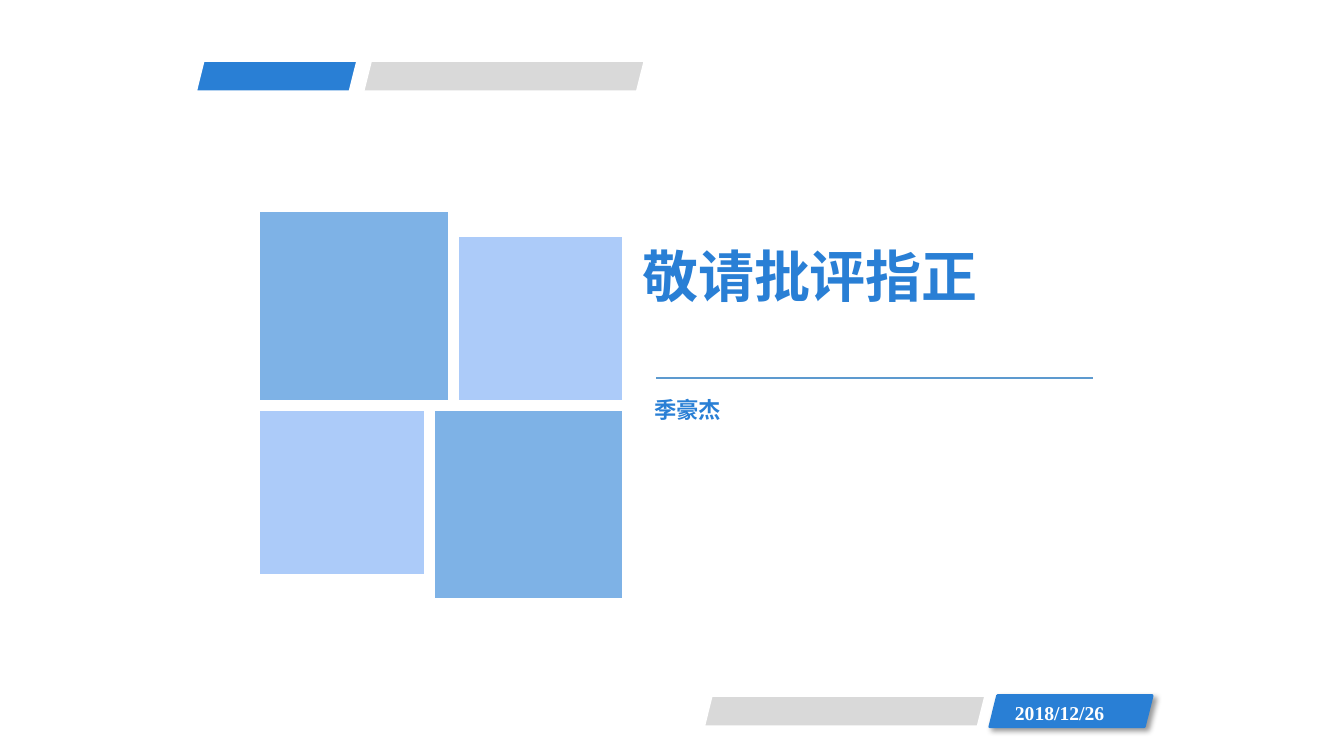
"""Build the closing slide with its tiles, title, name and date."""
from lxml.etree import SubElement
from pptx import Presentation
from pptx.dml.color import RGBColor
from pptx.enum.shapes import MSO_CONNECTOR, MSO_SHAPE
from pptx.enum.text import MSO_ANCHOR, MSO_AUTO_SIZE, PP_ALIGN
from pptx.oxml import parse_xml
from pptx.oxml.ns import nsdecls, qn
from pptx.util import Inches, Pt

COLORS = {
    "blue": "297FD5",
    "gray": "D9D9D9",
    "tile": "7EB2E6",
    "pale": "ACCBF9",
    "rule": "5D9ACF",
    "white": "FFFFFF",
}
COLS, ROWS = 40, 22.5


class Deck:
    """Hold the style and the current slide, on a grid of square cells."""

    def __init__(self):
        self.prs = Presentation()
        self.prs.slide_width = Inches(13.33)
        self.prs.slide_height = Inches(7.5)
        self.slide = self.prs.slides.add_slide(self.prs.slide_layouts[5])

    def color(self, name):
        return RGBColor.from_string(COLORS[name])

    def place(self, x, y, w, h):
        wide, high = self.prs.slide_width, self.prs.slide_height
        return [round(n) for n in (x / COLS * wide, y / ROWS * high,
                                   w / COLS * wide, h / ROWS * high)]

    def block(self, kind, box, fill, edge="white"):
        shape = self.slide.shapes.add_shape(kind, *self.place(*box))
        shape.shadow.inherit = False
        shape.fill.solid()
        shape.fill.fore_color.rgb = self.color(fill)
        shape.line.color.rgb = self.color(edge)
        shape.line.width = Pt(2)
        return shape

    def shade(self, shape):
        effects = shape._element.spPr.find(qn("a:effectLst"))
        effects.append(parse_xml(
            f'<a:outerShdw {nsdecls("a")} blurRad="{Pt(4)}" dist="{Pt(3)}" '
            'dir="2700000" algn="tl" rotWithShape="0"><a:srgbClr val="000000">'
            '<a:alpha val="40000"/></a:srgbClr></a:outerShdw>'))

    def rule(self, x, y, w):
        left, top, wide, _ = self.place(x, y, w, 0)
        line = self.slide.shapes.add_connector(
            MSO_CONNECTOR.STRAIGHT, left, top, left + wide, top)
        line.line.color.rgb = self.color("rule")
        line.line.width = Pt(0.75)
        SubElement(line._element.spPr, qn("a:effectLst"))

    def style(self, shape, text, size, color, font):
        frame = shape.text_frame
        frame.text = text
        frame.word_wrap = False
        frame.auto_size = MSO_AUTO_SIZE.NONE
        frame.vertical_anchor = MSO_ANCHOR.TOP
        para = frame.paragraphs[0]
        para.alignment = PP_ALIGN.LEFT
        para.font.size = Pt(size)
        para.font.bold = True
        para.font.name = font
        para.font.color.rgb = self.color(color)

    def title(self, box, text, size):
        shape = self.slide.shapes.title
        shape.left, shape.top, shape.width, shape.height = self.place(*box)
        self.style(shape, text, size, "blue", "Cabin")

    def label(self, box, text, size, color, font):
        shape = self.slide.shapes.add_textbox(*self.place(*box))
        self.style(shape, text, size, color, font)


def main():
    deck = Deck()

    flag = MSO_SHAPE.PARALLELOGRAM
    top, foot, high = 1.8, 20.7, 0.93
    short, long = 4.83, 8.4
    deck.shade(deck.block(flag, (29.46, foot, short, high), "blue", "blue"))
    deck.block(flag, (5.82, top, short, high), "blue")
    deck.block(flag, (20.94, foot, long, high), "gray")
    deck.block(flag, (10.8, top, long, high), "gray")

    left, right, upper, lower = 7.71, 18.57, 11.95, 12.18
    for side, fill, high_left in ((5.67, "tile", True), (4.95, "pale", False)):
        inner = right - side
        first, second = (left, inner) if high_left else (inner, left)
        for x, y in ((first, upper - side), (second, lower)):
            deck.block(MSO_SHAPE.RECTANGLE, (x, y, side, side), fill)

    deck.title((18.81, 7.05, 10.71, 8.37), "敬请批评指正", 40)
    deck.rule(19.53, 11.25, 12.99)
    deck.label((19.17, 11.64, 2.64, 1.11), "季豪杰", 16, "blue", "Cabin")
    deck.label((29.91, foot, 3.3, 1.02), "2018/12/26", 14, "white",
               "Times New Roman")
    deck.prs.save("out.pptx")


if __name__ == "__main__":
    main()
